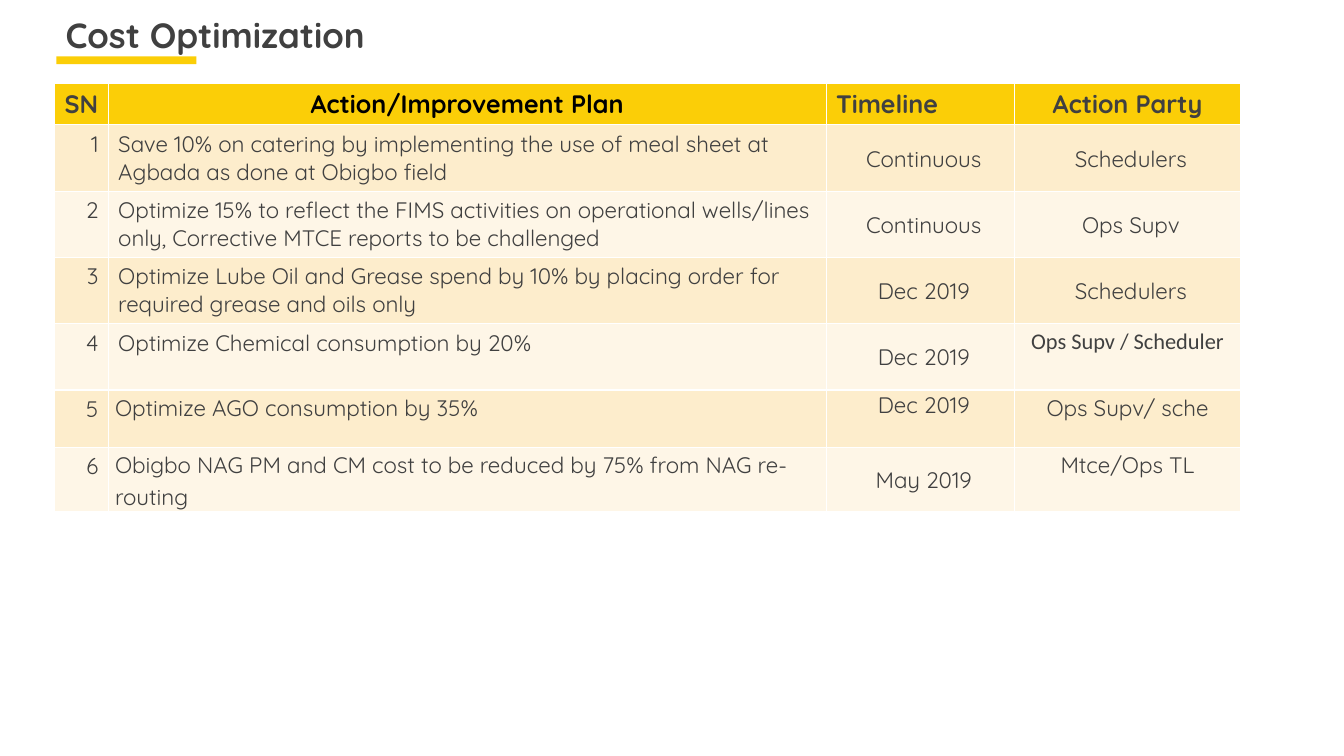
from dataclasses import dataclass

from pptx import Presentation
from pptx.dml.color import RGBColor
from pptx.enum.shapes import MSO_SHAPE
from pptx.enum.text import MSO_ANCHOR, MSO_AUTO_SIZE, PP_ALIGN
from pptx.util import Cm, Pt


@dataclass(frozen=True)
class Theme:
    font: str = "Quicksand"
    alt_font: str = "Calibri"
    text: RGBColor = RGBColor(0x40, 0x40, 0x40)
    black: RGBColor = RGBColor(0, 0, 0)
    yellow: RGBColor = RGBColor(0xFB, 0xCE, 0x07)
    bands: tuple = (RGBColor(0xFD, 0xED, 0xCC), RGBColor(0xFE, 0xF6, 0xE7))
    title_size: Pt = Pt(25)
    header_size: Pt = Pt(18)
    body_size: Pt = Pt(16)


@dataclass(frozen=True)
class CellStyle:
    """Alignment, anchor, insets in cm (left, top, right, bottom) and line spacing."""
    align: PP_ALIGN = PP_ALIGN.LEFT
    anchor: MSO_ANCHOR = MSO_ANCHOR.TOP
    insets: tuple = (0.25, 0.13, 0.25, 0.13)
    spacing: float = 1.0


THEME = Theme()
TIGHT = (0.2, 0.03, 0.03, 0)
FLUSH = (0.17, 0, 0.17, 0)

HEAD_LEFT = CellStyle(anchor=MSO_ANCHOR.MIDDLE)
HEAD_CENTER = CellStyle(PP_ALIGN.CENTER, MSO_ANCHOR.MIDDLE)
NUMBER = CellStyle(PP_ALIGN.RIGHT)
PLAN = CellStyle()
PLAN_SPACED = CellStyle(insets=FLUSH, spacing=1.15)
CENTERED = CellStyle(PP_ALIGN.CENTER, MSO_ANCHOR.MIDDLE, TIGHT)
CENTERED_TOP = CellStyle(PP_ALIGN.CENTER, insets=TIGHT)
PARTY_SPACED = CellStyle(PP_ALIGN.CENTER, insets=FLUSH, spacing=1.15)

COLUMN_WIDTHS = (1.35, 18.09, 4.75, 5.69)
HEADER_HEIGHT = 1.04
HEADERS = (
    ("SN", HEAD_LEFT, THEME.text),
    ("Action/Improvement Plan", HEAD_CENTER, THEME.black),
    ("Timeline", HEAD_LEFT, THEME.text),
    ("Action Party", HEAD_CENTER, THEME.text),
)
# Row height, then text and style of plan, timeline and party
ACTIONS = (
    (1.67, ("Save 10% on catering by implementing the use of meal sheet at "
            "Agbada as done at Obigbo field", PLAN),
     ("Continuous", CENTERED), ("Schedulers", CENTERED)),
    (1.67, ("Optimize 15% to reflect the FIMS activities on operational "
            "wells/lines only, Corrective MTCE reports to be challenged", PLAN),
     ("Continuous", CENTERED), ("Ops Supv", CENTERED)),
    (1.67, ("Optimize Lube Oil and Grease spend by 10% by placing order for "
            "required grease and oils only", PLAN),
     ("Dec 2019", CENTERED), ("Schedulers", CENTERED)),
    (1.67, ("Optimize Chemical consumption by 20%", PLAN),
     ("Dec 2019", CENTERED), ("Ops Supv / Scheduler", PARTY_SPACED, THEME.alt_font)),
    (1.44, ("Optimize AGO consumption by 35%", PLAN_SPACED),
     ("Dec 2019", CENTERED_TOP), ("Ops Supv/ sche", PARTY_SPACED)),
    (1.6, ("Obigbo NAG PM and CM cost to be reduced by 75% from NAG re-routing",
           PLAN_SPACED),
     ("May 2019", CENTERED), ("Mtce/Ops TL", PARTY_SPACED)),
)


def set_font(p, size, name=THEME.font, color=THEME.text, bold=False):
    p.font.name, p.font.size, p.font.bold = name, size, bold
    p.font.color.rgb = color


def add_title(slide, left, top, width, height):
    """Place the title with its yellow bar behind the foot of the text."""
    title = slide.shapes.title
    title.left, title.top = Cm(left), Cm(top)
    title.width, title.height = Cm(width), Cm(height)
    tf = title.text_frame
    tf.text = "Cost Optimization"
    tf.auto_size = MSO_AUTO_SIZE.NONE
    tf.vertical_anchor = MSO_ANCHOR.TOP
    tf.margin_left = tf.margin_top = tf.margin_right = tf.margin_bottom = 0
    p = tf.paragraphs[0]
    p.alignment = PP_ALIGN.CENTER
    set_font(p, THEME.title_size, bold=True)

    bar = slide.shapes.add_shape(
        MSO_SHAPE.RECTANGLE, Cm(left + 0.28), Cm(top + 1.09), Cm(3.53), Cm(0.2))
    bar.shadow.inherit = False
    bar.fill.solid()
    bar.fill.fore_color.rgb = THEME.yellow
    bar.line.fill.background()
    title._element.addprevious(bar._element)


def fill_cell(cell, text, style, fill, **font):
    cell.text = text
    cell.fill.solid()
    cell.fill.fore_color.rgb = fill
    cell.vertical_anchor = style.anchor
    (cell.margin_left, cell.margin_top,
     cell.margin_right, cell.margin_bottom) = map(Cm, style.insets)
    p = cell.text_frame.paragraphs[0]
    p.alignment = style.align
    p.line_spacing = style.spacing
    set_font(p, **font)


def add_action_table(slide, left, top):
    heights = [HEADER_HEIGHT] + [action[0] for action in ACTIONS]
    table = slide.shapes.add_table(
        len(heights), len(COLUMN_WIDTHS), Cm(left), Cm(top),
        Cm(sum(COLUMN_WIDTHS)), Cm(sum(heights))).table
    for column, width in zip(table.columns, COLUMN_WIDTHS):
        column.width = Cm(width)
    for row, height in zip(table.rows, heights):
        row.height = Cm(height)

    for col, (text, style, color) in enumerate(HEADERS):
        fill_cell(table.cell(0, col), text, style, THEME.yellow,
                  size=THEME.header_size, color=color, bold=True)
    for number, (_, *entries) in enumerate(ACTIONS, start=1):
        band = THEME.bands[(number - 1) % 2]
        for col, (text, style, *font) in enumerate([(str(number), NUMBER), *entries]):
            fill_cell(table.cell(number, col), text, style, band,
                      size=THEME.body_size, name=font[0] if font else THEME.font)


def main():
    prs = Presentation()
    prs.slide_width, prs.slide_height = Cm(33.87), Cm(19.05)
    slide = prs.slides.add_slide(prs.slide_layouts[5])
    add_title(slide, 1.14, 0.33, 8.56, 1.65)
    add_action_table(slide, 1.38, 2.09)
    prs.save("out.pptx")


if __name__ == "__main__":
    main()
